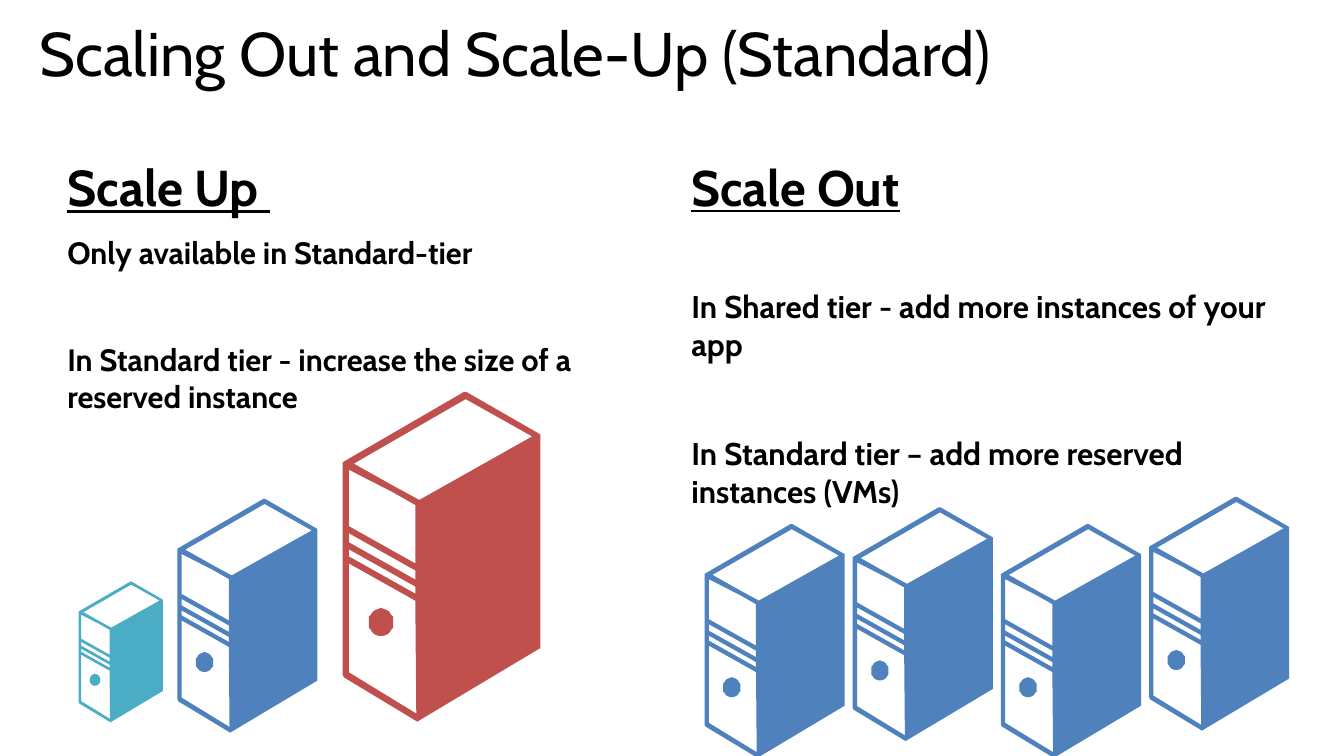
"""Build a slide that contrasts scaling up with scaling out."""
from dataclasses import dataclass
from math import cos, pi, sin

from pptx import Presentation
from pptx.dml.color import RGBColor
from pptx.enum.text import MSO_ANCHOR
from pptx.slide import Slide
from pptx.text.text import TextFrame
from pptx.util import Emu, Inches, Pt

SLIDE_WIDTH, SLIDE_HEIGHT = Inches(13.33), Inches(7.5)
COLUMNS, ROWS = 160, 90
FONT = "Cabin"
BLACK = RGBColor(0x00, 0x00, 0x00)
RED = RGBColor(0xC0, 0x50, 0x4D)
BLUE = RGBColor(0x4F, 0x81, 0xBD)
TEAL = RGBColor(0x4B, 0xAC, 0xC6)

Point = tuple[float, float]
ICON_WIDTH = 196
DOT_CENTER, DOT_RADII, DOT_STEPS = (38, 228.5), (12.5, 14), 32
CASE = [(196, 42), (123, 0), (120, 0), (1, 69), (0, 70), (0, 280),
        (1, 283), (74, 327), (79, 324), (196, 254)]
LID = [(122, 7), (188, 44), (76, 107), (52, 94), (11, 71)]
UPPER_PANEL = [(49, 99), (72, 112), (72, 170), (6, 133), (6, 77)]
SLOTS = [[(6, top), (72, top + 37), (72, top + 37 + depth), (6, top + depth)]
         for top, depth in ((140, 9), (156, 7))]
LOWER_PANEL = [(6, 278), (6, 170), (72, 207), (73, 319)]
DOT = [(DOT_CENTER[0] + DOT_RADII[0] * cos(2 * pi * step / DOT_STEPS),
        DOT_CENTER[1] + DOT_RADII[1] * sin(2 * pi * step / DOT_STEPS))
       for step in range(DOT_STEPS)]
CONTOURS: list[list[Point]] = [CASE, LID, UPPER_PANEL, *SLOTS, LOWER_PANEL, DOT]


@dataclass(frozen=True)
class Area:
    left: float
    top: float
    width: float
    height: float


@dataclass(frozen=True)
class Line:
    text: str
    size: float
    space_before: float = 0
    bold: bool = True
    underline: bool = False
    spacing: float = 1.0


@dataclass(frozen=True)
class TextBlock:
    area: Area
    lines: tuple[Line, ...]


@dataclass(frozen=True)
class Server:
    left: float
    top: float
    width: float
    color: RGBColor


BLOCKS = (
    TextBlock(Area(3.48, 2.88, 152.88, 11.76), (
        Line("Scaling Out and Scale-Up (Standard)", 44, bold=False, spacing=0.8),
    )),
    TextBlock(Area(6.84, 18, 72, 36.84), (
        Line("Scale Up ", 36, underline=True),
        Line("Only available in Standard-tier", 22, 12),
        Line("In Standard tier - increase the size of a reserved instance", 22, 50.5),
    )),
    TextBlock(Area(81.12, 18, 75.36, 35.28), (
        Line("Scale Out", 35.7, underline=True),
        Line("In Shared tier - add more instances of your app", 22.4, 51),
        Line("In Standard tier – add more reserved instances (VMs)", 22.4, 51),
    )),
)
GROWING_SERVERS = (
    Server(40.8, 46.68, 23.52, RED),
    Server(21.12, 59.4, 16.68, BLUE),
    Server(9.36, 69.24, 10.04, TEAL),
)
FIRST_LEFT, SERVER_STEP = 83.88, 17.64
ADDED_SERVERS = tuple(
    Server(FIRST_LEFT + index * SERVER_STEP, top, 16.68, BLUE)
    for index, top in enumerate((62.4, 60.4, 62.4, 59.16))
)


def across(columns: float) -> Emu:
    """Turn grid columns into a length."""
    return Emu(round(SLIDE_WIDTH * columns / COLUMNS))


def down(rows: float) -> Emu:
    """Turn grid rows into a length."""
    return Emu(round(SLIDE_HEIGHT * rows / ROWS))


def write_line(frame: TextFrame, line: Line, first: bool) -> None:
    """Write one paragraph into a text frame."""
    para = frame.paragraphs[0] if first else frame.add_paragraph()
    para.text = line.text
    para.line_spacing = line.spacing
    para.space_before = Pt(line.space_before)
    para.font.name = FONT
    para.font.size = Pt(line.size)
    para.font.bold = line.bold
    para.font.underline = line.underline
    para.font.color.rgb = BLACK


def draw_text(page: Slide, block: TextBlock) -> None:
    """Place a text box and its paragraphs."""
    area = block.area
    box = page.shapes.add_textbox(across(area.left), down(area.top),
                                  across(area.width), down(area.height))
    frame = box.text_frame
    frame.word_wrap = True
    frame.vertical_anchor = MSO_ANCHOR.TOP
    for index, line in enumerate(block.lines):
        write_line(frame, line, index == 0)


def draw_server(page: Slide, server: Server) -> None:
    """Draw a server as one outline with cut-out panels."""
    scale = across(server.width) / ICON_WIDTH
    builder = page.shapes.build_freeform(*CONTOURS[0][0], scale=scale)
    for index, contour in enumerate(CONTOURS):
        if index:
            builder.move_to(*contour[0])
        builder.add_line_segments(contour[1:], close=True)
    shape = builder.convert_to_shape(across(server.left), down(server.top))
    shape.shadow.inherit = False
    shape.fill.solid()
    shape.fill.fore_color.rgb = server.color
    shape.line.fill.background()


def main() -> None:
    """Build and save the deck."""
    deck = Presentation()
    deck.slide_width, deck.slide_height = SLIDE_WIDTH, SLIDE_HEIGHT
    page = deck.slides.add_slide(deck.slide_layouts[6])
    for block in BLOCKS:
        draw_text(page, block)
    for server in GROWING_SERVERS + ADDED_SERVERS:
        draw_server(page, server)
    deck.save("out.pptx")


if __name__ == "__main__":
    main()
